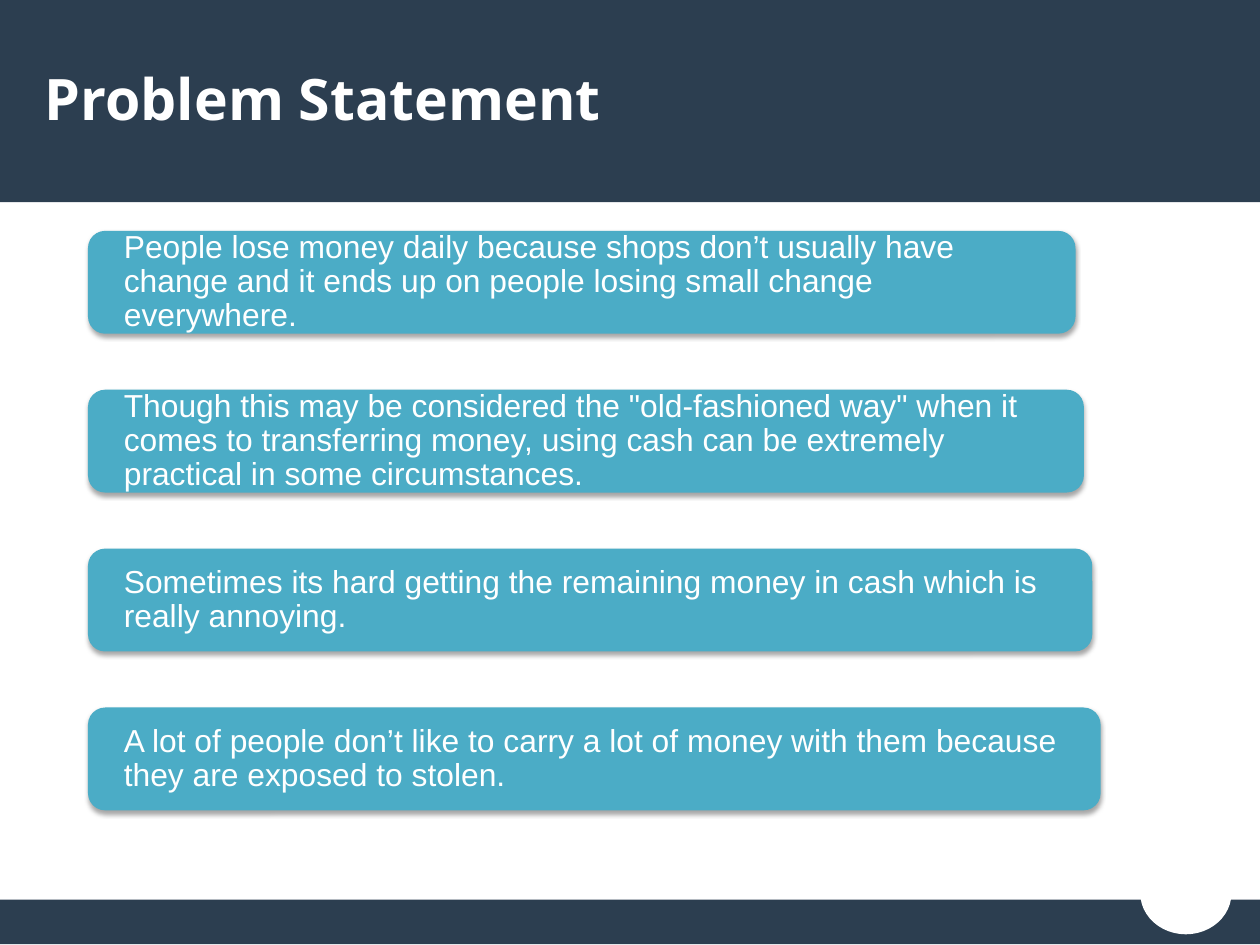
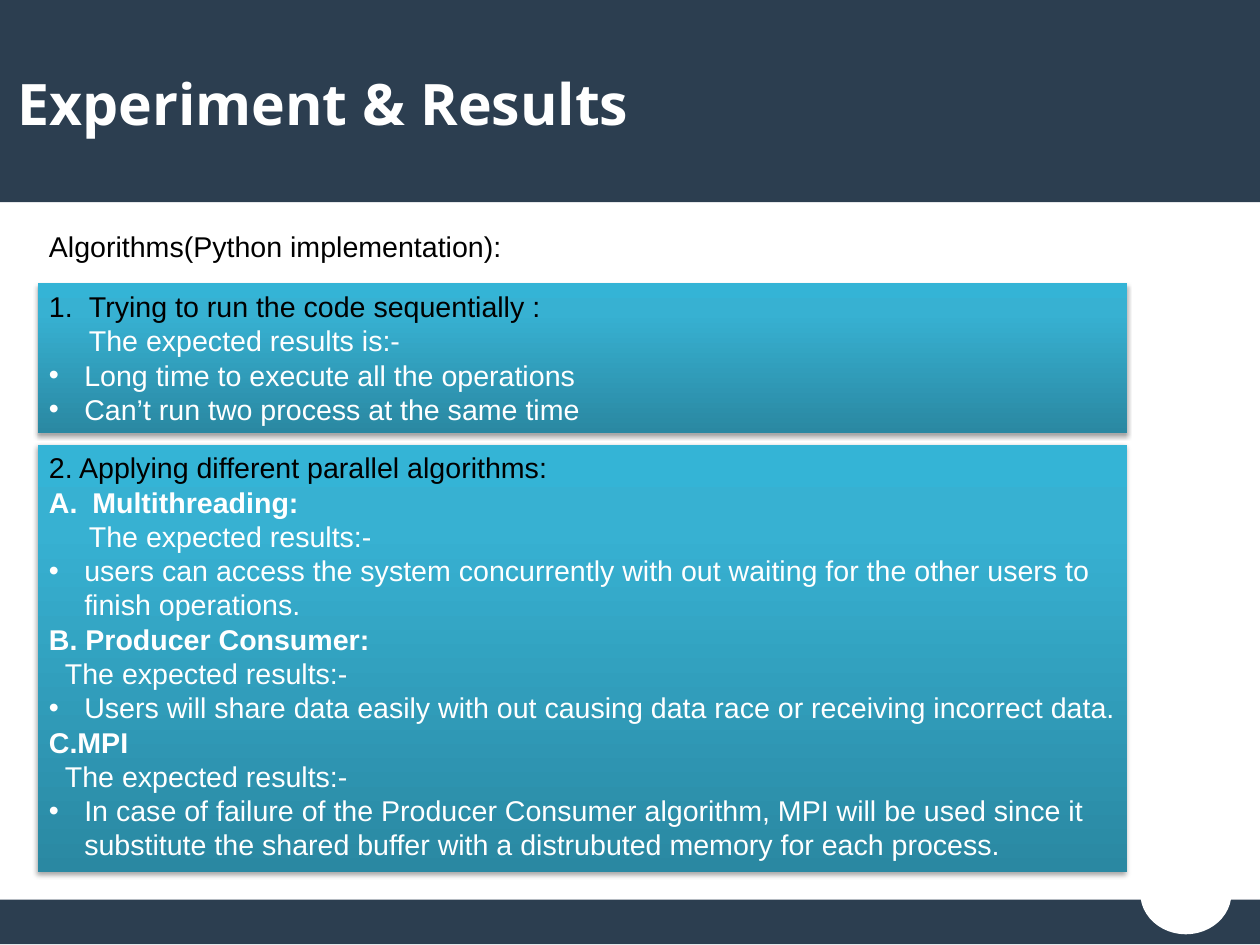
from copy import deepcopy
from dataclasses import dataclass

from lxml import etree
from pptx import Presentation
from pptx.dml.color import RGBColor
from pptx.enum.shapes import MSO_SHAPE
from pptx.enum.text import MSO_ANCHOR, PP_ALIGN
from pptx.oxml.ns import qn
from pptx.util import Cm, Inches, Pt

RECT = MSO_SHAPE.RECTANGLE
ROUND = MSO_SHAPE.ROUNDED_RECTANGLE
OVAL = MSO_SHAPE.OVAL
MIDDLE, TOP = MSO_ANCHOR.MIDDLE, MSO_ANCHOR.TOP
LEFT = PP_ALIGN.LEFT

COLORS = {
    "navy": "2C3E50",
    "teal": "4BACC6",
    "deep": "2A88A2",
    "aqua": "37B1D2",
    "light": "34B4D6",
    "white": "FFFFFF",
    "black": "000000",
}
BODY, HEAD = "Arial", "Noto Sans"
WIDTH, HEIGHT = Cm(28), Cm(21)  # the page is metric


@dataclass
class Box:
    left: float
    top: float
    width: float
    height: float

    def lengths(self) -> list:
        return [Inches(v) for v in (self.left, self.top, self.width, self.height)]


@dataclass
class Line:
    text: str
    color: str = "white"
    bold: bool = False
    size: int = 18
    font: str = BODY
    mark: str = ""  # a bullet sign or an automatic numbering scheme
    indent: float = 0
    hang: bool = False
    space: float = 1


def dot(text: str) -> Line:
    return Line(text, mark="•", indent=0.31, hang=True)


def rgb(name: str) -> RGBColor:
    return RGBColor.from_string(COLORS[name])


def add_shape(slide, kind, box: Box, color: str):
    shape = slide.shapes.add_shape(kind, *box.lengths())
    shape.shadow.inherit = False
    shape.fill.solid()
    shape.fill.fore_color.rgb = rgb(color)
    shape.line.fill.background()
    return shape


def add_shadow(shape) -> None:
    effects = shape._element.spPr.find(qn("a:effectLst"))
    outer = etree.SubElement(
        effects, qn("a:outerShdw"), blurRad=str(Pt(3.1)), dist=str(Pt(1.8)),
        dir="5400000", rotWithShape="0")
    color = etree.SubElement(outer, qn("a:srgbClr"), val=COLORS["black"])
    etree.SubElement(color, qn("a:alpha"), val="35000")


def shade(shape) -> None:
    """Fill from deep at the foot to light at the top."""
    fill = shape.fill
    fill.gradient()
    fill.gradient_angle = 90
    stops = shape._element.spPr.find(".//" + qn("a:gsLst"))
    stops.append(deepcopy(stops[-1]))
    ramp = ((0, "deep"), (0.8, "aqua"), (1, "light"))
    for stop, (place, name) in zip(fill.gradient_stops, ramp):
        stop.position = place
        stop.color.rgb = rgb(name)


def set_indent(para, line: Line) -> None:
    props = para._p.get_or_add_pPr()
    props.set("marL", str(Inches(line.indent)))
    if line.hang:
        props.set("indent", str(-Inches(line.indent)))
    if line.mark == "•":
        etree.SubElement(props, qn("a:buFont"), typeface=BODY)
        etree.SubElement(props, qn("a:buChar"), char=line.mark)
    elif line.mark:
        etree.SubElement(props, qn("a:buAutoNum"), type=line.mark)


def write(shape, lines: list[Line], anchor, side: float = 0.1, edge: float = 0.05) -> None:
    frame = shape.text_frame
    frame.word_wrap = True
    frame.vertical_anchor = anchor
    frame.margin_left = frame.margin_right = Inches(side)
    frame.margin_top = frame.margin_bottom = Inches(edge)
    for i, line in enumerate(lines):
        para = frame.add_paragraph() if i else frame.paragraphs[0]
        para.text = line.text
        para.alignment = LEFT
        para.line_spacing = line.space
        set_indent(para, line)
        font = para.font
        font.name, font.size, font.bold = line.font, Pt(line.size), line.bold
        font.color.rgb = rgb(line.color)
        # Numbers take their look from the run
        for run in para.runs:
            run.font.bold = line.bold


def add_text(slide, box: Box, line: Line, anchor, side: float, edge: float) -> None:
    write(slide.shapes.add_textbox(*box.lengths()), [line], anchor, side, edge)


def add_slide(deck, title: str, left: float, top: float):
    """Add a slide with the shared bands, badge and title."""
    slide = deck.slides.add_slide(deck.slide_layouts[6])
    add_shape(slide, RECT, Box(0, 7.87, WIDTH.inches, 0.39), "navy")
    add_shape(slide, RECT, Box(0, 0, WIDTH.inches, 1.77), "navy")
    badge = add_shape(slide, OVAL, Box(9.99, 7.47, 0.77, 0.69), "white")
    badge.line.color.rgb = rgb("white")
    badge.line.width = Pt(2)
    name = Line(title, bold=True, size=36, font=HEAD)
    add_text(slide, Box(left, top, 10.24, 1.05), name, MIDDLE, 0, 0)
    return slide


def add_panel(slide, box: Box, lines: list[Line]) -> None:
    panel = add_shape(slide, RECT, box, "aqua")
    shade(panel)
    add_shadow(panel)
    write(panel, lines, TOP)


ISSUES = [
    "People lose money daily because shops don’t usually have change and it ends up "
    "on people losing small change everywhere.",
    "Though this may be considered the \"old-fashioned way\" when it comes to "
    "transferring money, using cash can be extremely practical in some circumstances.",
    "Sometimes its hard getting the remaining money in cash which is really annoying.",
    "A lot of people don’t like to carry a lot of money with them because they are "
    "exposed to stolen.",
]

SERIAL = [
    Line("1.\tTrying to run the code sequentially :", "black", indent=0.35, hang=True),
    Line("The expected results is:-", indent=0.35),
    dot("Long time to execute all the operations"),
    dot("Can’t run two process at the same time"),
]

PARALLEL = [
    Line("2. Applying different parallel algorithms:", "black"),
    Line("Multithreading:", bold=True, mark="alphaUcPeriod", indent=0.38, hang=True),
    Line("The expected results:-", indent=0.35),
    dot("users can access the system concurrently with out waiting for the other users "
        "to finish operations."),
    Line("B. Producer Consumer:", bold=True),
    Line("The expected results:-", indent=0.14),
    dot("Users will share data easily with out causing data race or receiving "
        "incorrect data."),
    Line("C.MPI", bold=True),
    Line("The expected results:-", indent=0.14),
    dot("In case of failure of the Producer Consumer algorithm, MPI will be used since "
        "it substitute the shared buffer with a distrubuted memory for each process."),
]


def main() -> None:
    deck = Presentation()
    deck.slide_width, deck.slide_height = WIDTH, HEIGHT

    # Problem statement: evenly stepped cards, each a little wider
    slide = add_slide(deck, "Problem Statement", 0.39, 0.33)
    for i, issue in enumerate(ISSUES):
        box = Box(0.77, 2.02 + 1.39 * i, 8.64 + 0.22 * i / 3, 0.9)
        card = add_shape(slide, ROUND, box, "teal")
        add_shadow(card)
        write(card, [Line(issue, size=20, space=0.9)], MIDDLE, 0.27, 0)

    # Experiment and results: a heading and two panels
    slide = add_slide(deck, "Experiment & Results", 0.15, 0.37)
    intro = Line("Algorithms(Python implementation):", "black")
    add_text(slide, Box(0.33, 1.95, 8.6, 0.4), intro, TOP, 0.1, 0.05)
    add_panel(slide, Box(0.33, 2.48, 9.53, 1.31), SERIAL)
    add_panel(slide, Box(0.33, 3.89, 9.53, 3.74), PARALLEL)

    deck.save("out.pptx")


if __name__ == "__main__":
    main()
